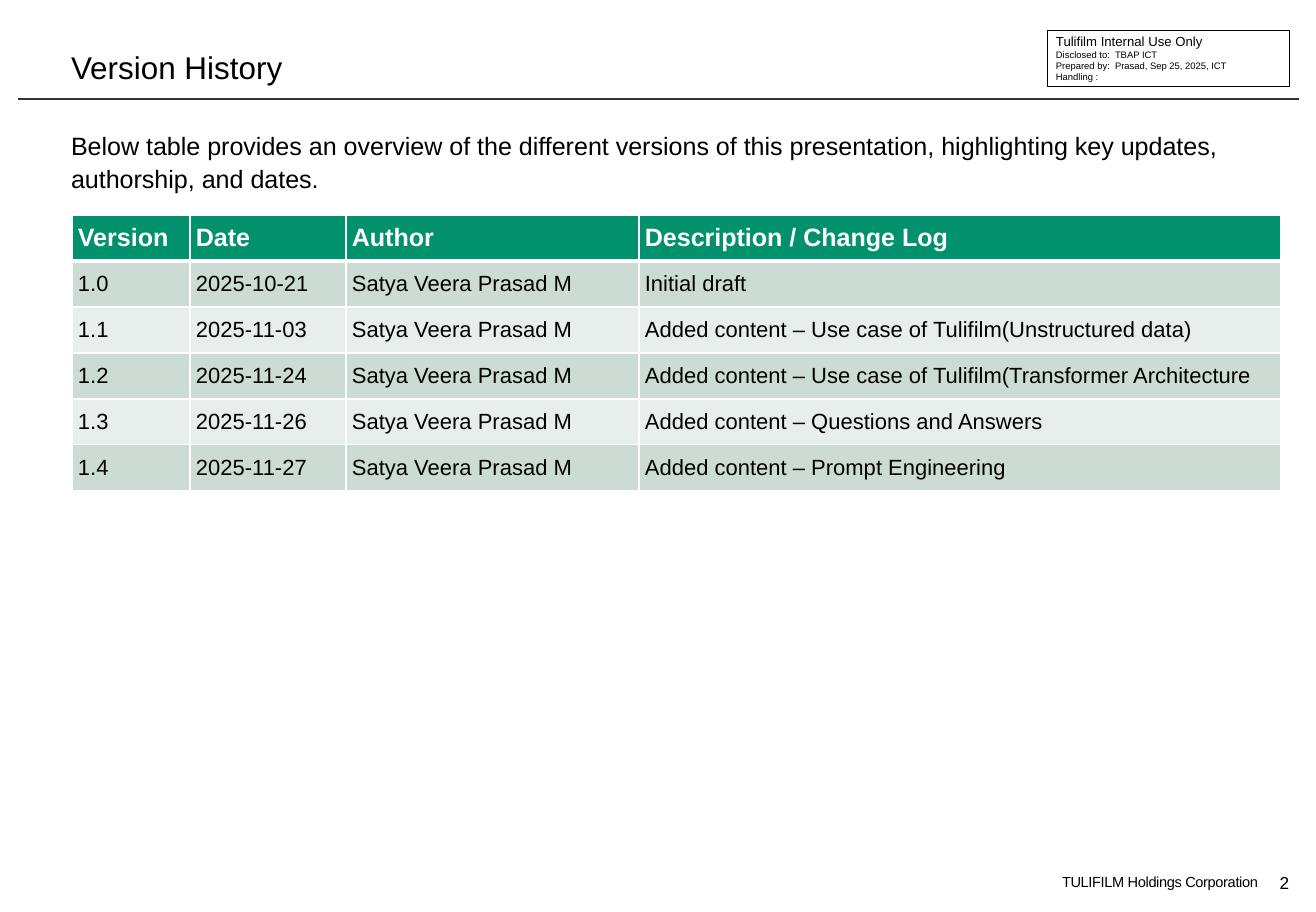
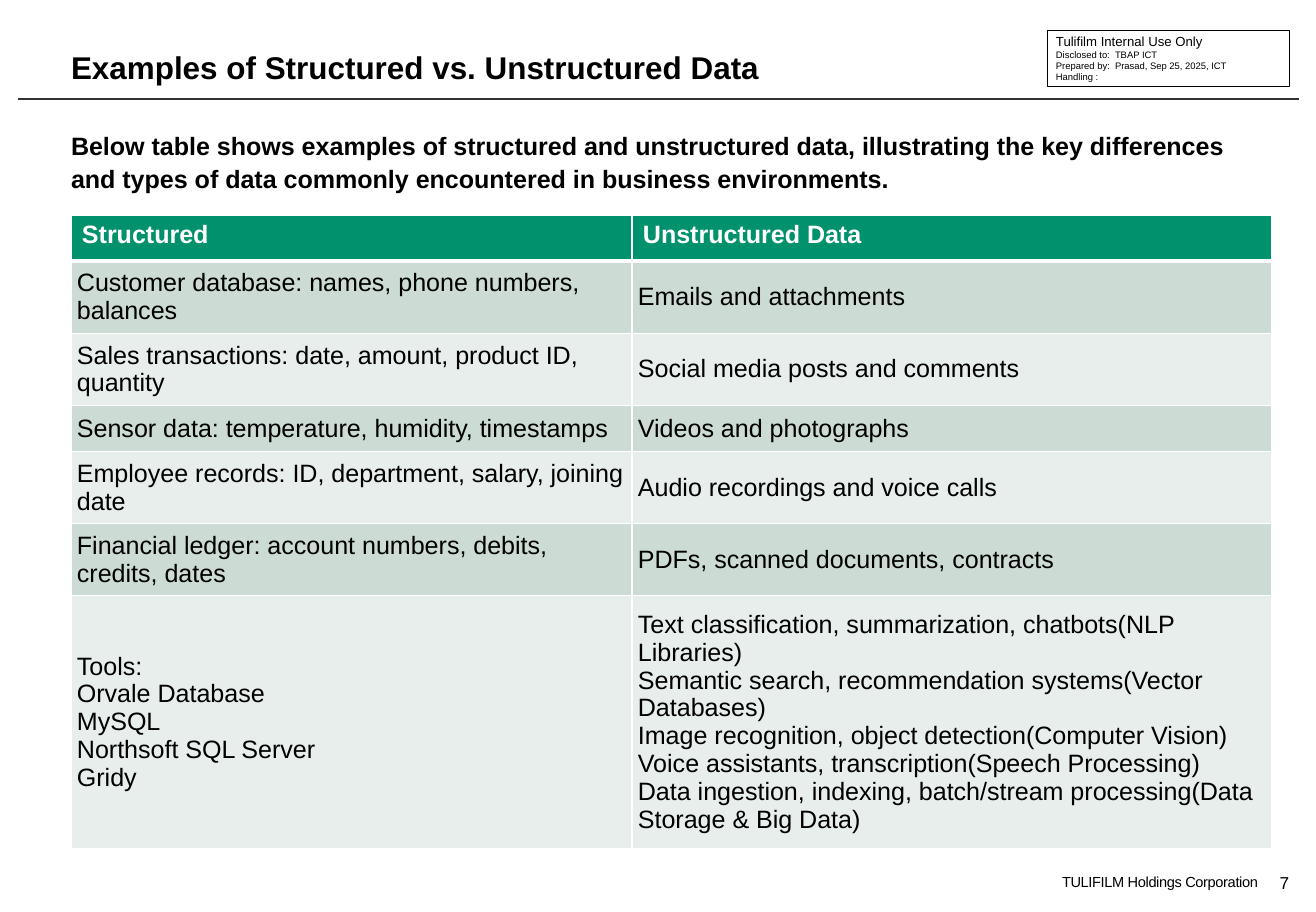
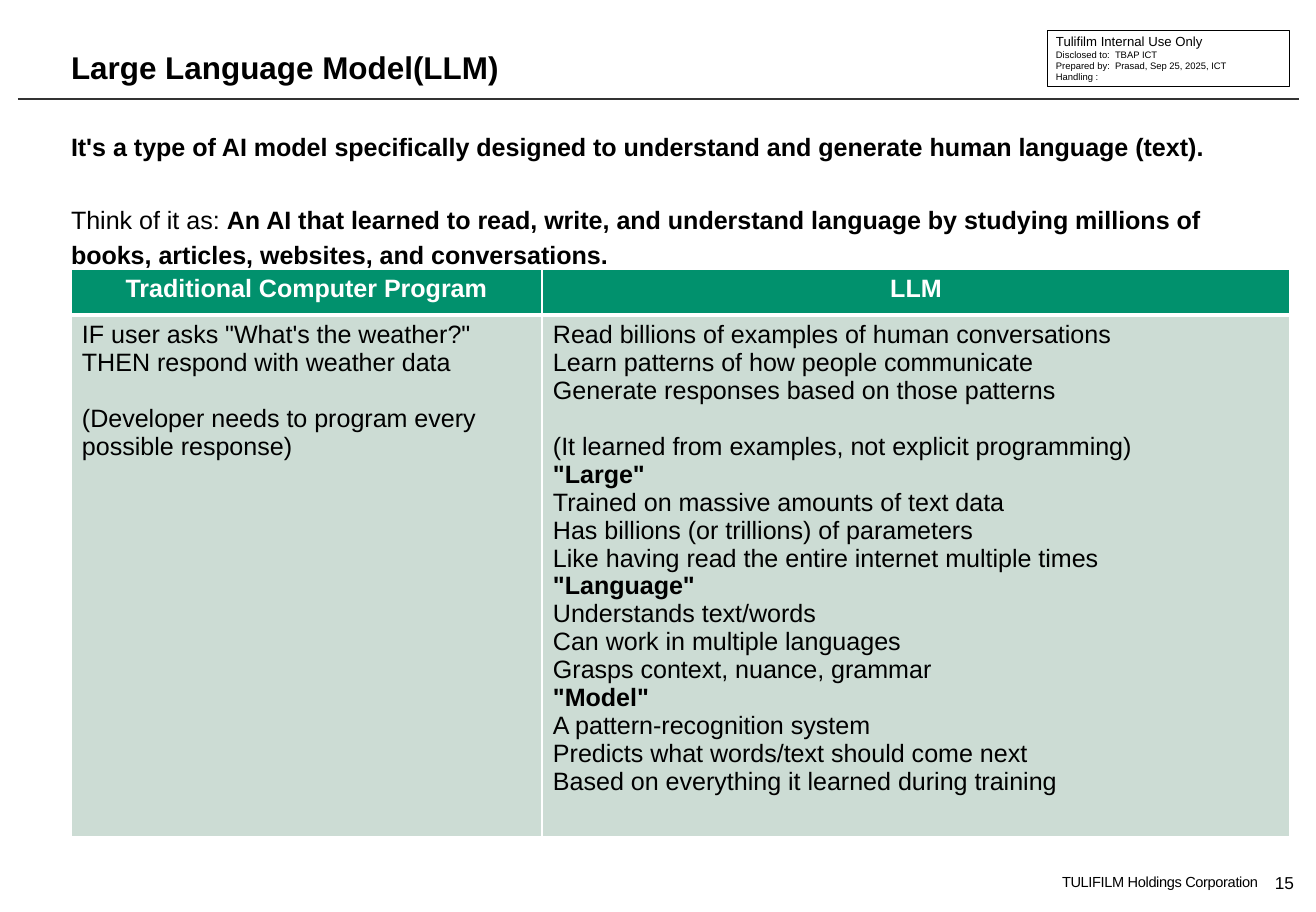
from dataclasses import dataclass

import pptx
import pptx.dml.color
import pptx.enum.shapes
import pptx.enum.text
import pptx.oxml
import pptx.oxml.ns
import pptx.util
from lxml import etree

PX = 914400 / 113
SLIDE_W, SLIDE_H = 1316, 912
LEFT = 71
ROW_H = 46
FONT = "Arial"
COLORS = {
    "text": "000000",
    "white": "FFFFFF",
    "rule": "333333",
    "header": "01916D",
    "band_dark": "CCDCD4",
    "band_light": "E7EEEB",
}
ALIGN = pptx.enum.text.PP_ALIGN
ANCHOR = pptx.enum.text.MSO_ANCHOR


@dataclass(frozen=True)
class Para:
    """A paragraph; ** marks switch bold on and off."""
    text: str
    before: float = 0


Text = str | tuple[str | Para, ...]


@dataclass(frozen=True)
class Grid:
    """A table whose rows start at ROW_H and grow with their text."""
    left: int
    top: int
    height: int
    cols: tuple[int, ...]
    cells: tuple[tuple[Text, ...], ...]
    body_size: int = 16
    compact_header: bool = False
    compact_body: bool = True
    header_align: ALIGN = ALIGN.LEFT


@dataclass(frozen=True)
class Page:
    number: int
    title: str
    intro: Text
    grid: Grid
    bold: bool = True
    line_spacing: float = 1.1
    space_after: float = 4


def px(n: int) -> int:
    return round(n * PX)


def rgb(name: str) -> pptx.dml.color.RGBColor:
    return pptx.dml.color.RGBColor.from_string(COLORS[name])


def write(tf, text: Text, *, size: float, color: str = "text", bold: bool = False,
          align: ALIGN = ALIGN.LEFT, line: float | pptx.util.Pt | None = None,
          after: float = 0, tracking: int = 0) -> None:
    paras = (text,) if isinstance(text, str) else text
    for i, item in enumerate(paras):
        para = item if isinstance(item, Para) else Para(item)
        p = tf.paragraphs[0] if i == 0 else tf.add_paragraph()
        p.alignment = align
        p.space_before = pptx.util.Pt(para.before)
        p.space_after = pptx.util.Pt(after)
        if line is not None:
            p.line_spacing = line
        for j, part in enumerate(para.text.split("**")):
            if not part:
                continue
            r = p.add_run()
            r.text = part
            r.font.name = FONT
            r.font.size = pptx.util.Pt(size)
            r.font.bold = bold or j % 2 == 1
            r.font.color.rgb = rgb(color)
            if tracking:
                r._r.get_or_add_rPr().set("spc", str(tracking))


def add_text(s, x: int, y: int, w: int, h: int, text: Text, *, wrap: bool = True,
             anchor: ANCHOR = ANCHOR.TOP, **fmt) -> None:
    tf = s.shapes.add_textbox(px(x), px(y), px(w), px(h)).text_frame
    tf.margin_left = tf.margin_right = tf.margin_top = tf.margin_bottom = 0
    tf.word_wrap = wrap
    tf.vertical_anchor = anchor
    write(tf, text, **fmt)


def add_notice(s) -> None:
    """Draw the disclosure box in the top right corner."""
    sp = s.shapes.add_shape(pptx.enum.shapes.MSO_SHAPE.RECTANGLE,
                            px(1047), px(30), px(242), px(56))
    sp.shadow.inherit = False
    sp.fill.solid()
    sp.fill.fore_color.rgb = rgb("white")
    sp.line.color.rgb = rgb("text")
    sp.line.width = pptx.util.Pt(0.5)
    add_text(s, 1056, 34, 217, 15, "Tulifilm Internal Use Only", size=8.4,
             wrap=False, anchor=ANCHOR.MIDDLE)
    columns = (
        (1056, 54, ("Disclosed to:", "Prepared by:", "Handling :")),
        (1115, 165, ("TBAP ICT", "Prasad, Sep 25, 2025, ICT")),
    )
    for x, w, lines in columns:
        add_text(s, x, 50, w, 36, lines, size=6, wrap=False, line=pptx.util.Pt(6.8))


def add_frame(s, page: Page) -> None:
    """Draw the title, rule, notice and footer that all slides share."""
    add_text(s, 993, 873, 265, 18, "TULIFILM Holdings Corporation", size=9.3,
             align=ALIGN.RIGHT, tracking=-20)
    rule = s.shapes.add_connector(pptx.enum.shapes.MSO_CONNECTOR.STRAIGHT,
                                  px(18), px(99), px(1299), px(99))
    rule.line.color.rgb = rgb("rule")
    rule.line.width = pptx.util.Pt(0.75)
    etree.SubElement(rule._element.spPr, pptx.oxml.ns.qn("a:effectLst"))
    add_notice(s)
    add_text(s, 1263, 874, 43, 18, str(page.number), size=11,
             align=ALIGN.CENTER, anchor=ANCHOR.MIDDLE)
    add_text(s, LEFT, 19, 898, 67, page.title, size=20, bold=page.bold,
             anchor=ANCHOR.BOTTOM)


def add_borders(cell, row: int) -> None:
    """Give a cell white borders, thick between the header and the body."""
    widths = {"L": 1, "R": 1, "T": 3 if row == 1 else 1, "B": 3 if row == 0 else 1}
    tc_pr = cell._tc.get_or_add_tcPr()
    for side, width in widths.items():
        tc_pr.append(pptx.oxml.parse_xml(
            f'<a:ln{side} {pptx.oxml.ns.nsdecls("a")} w="{pptx.util.Pt(width)}">'
            f'<a:solidFill><a:srgbClr val="{COLORS["white"]}"/></a:solidFill>'
            f'</a:ln{side}>'))


def add_grid(s, grid: Grid) -> None:
    frame = s.shapes.add_table(len(grid.cells), len(grid.cols), px(grid.left), px(grid.top),
                               px(sum(grid.cols)), px(grid.height))
    table = frame.table
    table.horz_banding = False
    table.first_row = False
    for column, w in zip(table.columns, grid.cols):
        column.width = px(w)
    for i, (row, texts) in enumerate(zip(table.rows, grid.cells)):
        row.height = px(ROW_H)
        header = i == 0
        compact = grid.compact_header if header else grid.compact_body
        fill = "header" if header else ("band_dark" if i % 2 else "band_light")
        for cell, text in zip(row.cells, texts):
            add_borders(cell, i)
            cell.fill.solid()
            cell.fill.fore_color.rgb = rgb(fill)
            cell.margin_left = cell.margin_right = px(6 if compact else 11)
            cell.margin_top = cell.margin_bottom = px(6)
            cell.vertical_anchor = ANCHOR.MIDDLE if compact else ANCHOR.TOP
            if header:
                write(cell.text_frame, text, size=16, color="white", bold=True,
                      align=grid.header_align)
            else:
                write(cell.text_frame, text, size=grid.body_size)
    frame.height = px(grid.height)


AUTHOR = "Satya Veera Prasad M"
VERSIONS = (
    ("1.0", "2025-10-21", "Initial draft"),
    ("1.1", "2025-11-03", "Added content – Use case of Tulifilm(Unstructured data)"),
    ("1.2", "2025-11-24", "Added content – Use case of Tulifilm(Transformer Architecture"),
    ("1.3", "2025-11-26", "Added content – Questions and Answers"),
    ("1.4", "2025-11-27", "Added content – Prompt Engineering"),
)

PAGES = (
    Page(
        2, "Version History",
        "Below table provides an overview of the different versions of this presentation, "
        "highlighting key updates, authorship, and dates.",
        Grid(
            72, 215, 275, (118, 156, 293, 642),
            (("Version", "Date", "Author", "Description / Change Log"),
             *((version, date, AUTHOR, change) for version, date, change in VERSIONS)),
            body_size=14, compact_header=True,
        ),
        bold=False,
    ),
    Page(
        7, "Examples of Structured vs. Unstructured Data",
        "Below table shows examples of structured and unstructured data, illustrating the key "
        "differences and types of data commonly encountered in business environments.",
        Grid(
            LEFT, 215, 636, (561, 640),
            (
                ("Structured", "Unstructured Data"),
                ("Customer database: names, phone numbers, balances", "Emails and attachments"),
                ("Sales transactions: date, amount, product ID, quantity",
                 "Social media posts and comments"),
                ("Sensor data: temperature, humidity, timestamps", "Videos and photographs"),
                ("Employee records: ID, department, salary, joining date",
                 "Audio recordings and voice calls"),
                ("Financial ledger: account numbers, debits, credits, dates",
                 "PDFs, scanned documents, contracts"),
                (("Tools:", "Orvale Database", "MySQL", "Northsoft SQL Server", "Gridy"),
                 ("Text classification, summarization, chatbots(NLP Libraries)",
                  "Semantic search, recommendation systems(Vector Databases)",
                  "Image recognition, object detection(Computer Vision)",
                  "Voice assistants, transcription(Speech Processing)",
                  "Data ingestion, indexing, batch/stream processing"
                  "(Data Storage & Big Data)")),
            ),
        ),
    ),
    Page(
        15, "Large Language Model(LLM)",
        ("**It's a type of AI model specifically designed to understand and generate "
         "human language (text).**",
         Para("Think of it as: **An AI that learned to read, write, and understand language by "
              "studying millions of books, articles, websites, and conversations.**", before=12)),
        Grid(
            LEFT, 269, 595, (471, 748),
            (
                ("Traditional Computer Program", "LLM"),
                (("IF user asks \"What's the weather?\"",
                  "THEN respond with weather data",
                  Para("(Developer needs to program every possible response)", before=18)),
                 ("Read billions of examples of human conversations",
                  "Learn patterns of how people communicate",
                  "Generate responses based on those patterns",
                  Para("(It learned from examples, not explicit programming)", before=18),
                  "**\"Large\"**",
                  "Trained on massive amounts of text data",
                  "Has billions (or trillions) of parameters",
                  "Like having read the entire internet multiple times",
                  "**\"Language\"**",
                  "Understands text/words",
                  "Can work in multiple languages",
                  "Grasps context, nuance, grammar",
                  "**\"Model\"**",
                  "A pattern-recognition system",
                  "Predicts what words/text should come next",
                  "Based on everything it learned during training")),
            ),
            compact_body=False, header_align=ALIGN.CENTER,
        ),
        line_spacing=1.16, space_after=12,
    ),
)


def main() -> None:
    prs = pptx.Presentation()
    prs.slide_width, prs.slide_height = px(SLIDE_W), px(SLIDE_H)
    for page in PAGES:
        s = prs.slides.add_slide(prs.slide_layouts[6])
        add_frame(s, page)
        add_text(s, LEFT, 127, 1174, 712, page.intro, size=16,
                 bold=page.bold and isinstance(page.intro, str),
                 line=page.line_spacing, after=page.space_after)
        add_grid(s, page.grid)
    prs.save("out.pptx")


if __name__ == "__main__":
    main()
